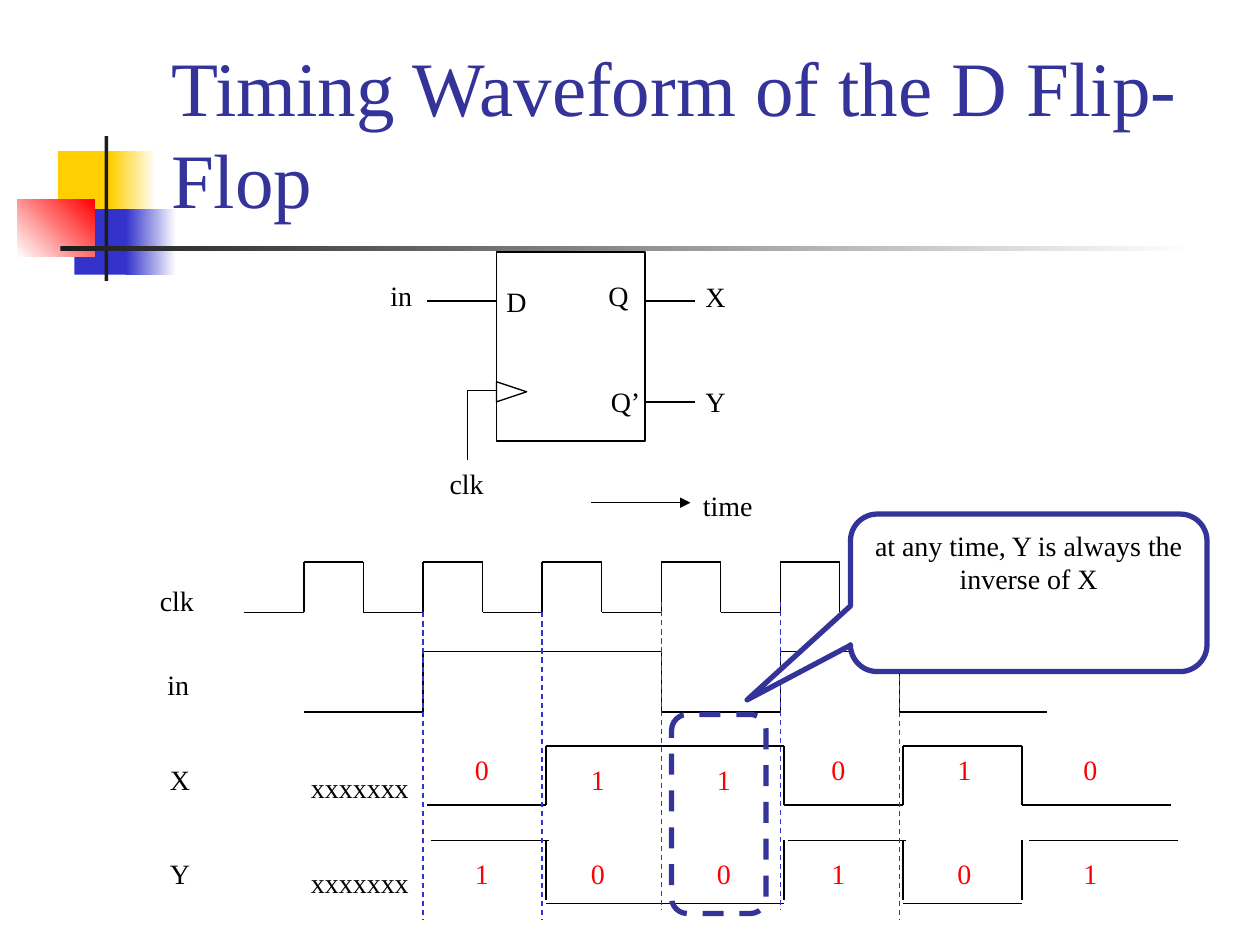
from itertools import pairwise
from typing import NamedTuple

from lxml import etree
from pptx import Presentation
from pptx.dml.color import RGBColor
from pptx.enum.dml import MSO_LINE_DASH_STYLE
from pptx.enum.shapes import MSO_CONNECTOR, MSO_SHAPE
from pptx.enum.text import MSO_ANCHOR, PP_ALIGN
from pptx.oxml.ns import qn
from pptx.util import Inches, Pt

RECT = MSO_SHAPE.RECTANGLE
ROUND_RECT = MSO_SHAPE.ROUNDED_RECTANGLE
TRIANGLE = MSO_SHAPE.ISOSCELES_TRIANGLE
CALLOUT = MSO_SHAPE.ROUNDED_RECTANGULAR_CALLOUT
STRAIGHT = MSO_CONNECTOR.STRAIGHT
DASH = MSO_LINE_DASH_STYLE.DASH
BOTTOM, TOP = MSO_ANCHOR.BOTTOM, MSO_ANCHOR.TOP
CENTER = PP_ALIGN.CENTER

FONT = "Times New Roman"
BLACK, WHITE, RED = "000000", "FFFFFF", "FF0000"
NAVY, BLUE, YELLOW, DARK = "333399", "3333CC", "FFCF01", "1C1C1C"


class Box(NamedTuple):
    x: float
    y: float
    w: float
    h: float


class Block(NamedTuple):
    box: Box
    start: str
    end: str = ""
    angle: int = 0


class Label(NamedTuple):
    text: str
    x: float
    y: float
    w: float
    color: str = BLACK


Point = tuple[float, float]

BLOCKS = [
    Block(Box(0.46, 1.2, 0.48, 0.52), YELLOW),
    Block(Box(0.88, 1.2, 0.36, 0.52), YELLOW, WHITE),
    Block(Box(0.59, 1.66, 0.46, 0.52), BLUE),
    Block(Box(1, 1.66, 0.4, 0.52), BLUE, WHITE),
    Block(Box(0.14, 1.58, 0.61, 0.46), WHITE, RED, 45),
    Block(Box(0.83, 1.08, 0.03, 1.15), DARK),
    Block(Box(0.48, 1.95, 9, 0.04), DARK, WHITE),
]

LABELS = [
    Label("D", 3.92, 2.21, 0.36),
    Label("Q", 4.73, 2.16, 0.36),
    Label("Q’", 4.75, 3, 0.43),
    Label("in", 3, 2.16, 0.37),
    Label("X", 5.5, 2.17, 0.36),
    Label("Y", 5.5, 3, 0.36),
    Label("clk", 3.47, 3.65, 0.47),
    Label("time", 5.48, 3.83, 0.59),
    Label("clk", 1.17, 4.58, 0.47),
    Label("in", 1.23, 5.25, 0.37),
    Label("X", 1.25, 6, 0.36),
    Label("Y", 1.25, 6.75, 0.36),
    Label("xxxxxxx", 2.37, 6.07, 0.97),
    Label("xxxxxxx", 2.37, 6.82, 0.97),
]

BITS = [(3.67, 5.92, 0), (4.59, 6, 1), (5.59, 6, 1),
        (6.5, 5.92, 0), (7.5, 5.92, 1), (8.5, 5.92, 0)]

WIRES = [
    [(5.12, 2.39), (5.52, 2.39)],
    [(3.94, 2.39), (3.39, 2.39)],
    [(3.94, 3.1), (3.71, 3.1), (3.71, 3.65)],
    [(5.12, 3.19), (5.52, 3.19)],
]


def rgb(color: str) -> RGBColor:
    return RGBColor.from_string(color)


def edge(n: int) -> float:
    return 1.94 + n * (7.61 - 1.94) / 12


def wave(xs: list[float], low: float, high: float) -> list[Point]:
    points = []
    for i, (x1, x2) in enumerate(pairwise(xs)):
        y = high if i % 2 else low
        points += [(x1, y), (x2, y)]
    return points


def add_line(s, start: Point, end: Point, color: str = BLACK):
    c = s.shapes.add_connector(STRAIGHT, *map(Inches, start + end))
    c.line.color.rgb = rgb(color)
    c.line.width = Pt(0.75)
    etree.SubElement(c._element.spPr, qn("a:effectLst"))
    return c


def add_trace(s, points: list[Point]) -> None:
    for start, end in pairwise(points):
        add_line(s, start, end)


def add_shape(s, kind, box: Box, fill: str = "", line: str = "", width: float = 0.75):
    sp = s.shapes.add_shape(kind, *map(Inches, box))
    sp.shadow.inherit = False
    if fill:
        sp.fill.solid()
        sp.fill.fore_color.rgb = rgb(fill)
    else:
        sp.fill.background()
    if line:
        sp.line.color.rgb = rgb(line)
        sp.line.width = Pt(width)
    else:
        sp.line.fill.background()
    return sp


def add_block(s, block: Block) -> None:
    sp = add_shape(s, RECT, block.box, block.start)
    if block.end:
        sp.fill.gradient()
        sp.fill.gradient_angle = block.angle
        for stop, color in zip(sp.fill.gradient_stops, (block.start, block.end)):
            stop.color.rgb = rgb(color)


def add_run(p, text: str, size: int, color: str) -> None:
    r = p.add_run()
    r.text = text
    r.font.name = FONT
    r.font.size = Pt(size)
    r.font.color.rgb = rgb(color)


def add_label(s, label: Label) -> None:
    tf = s.shapes.add_textbox(*map(Inches, (label.x, label.y, label.w, 0.37))).text_frame
    tf.word_wrap = True
    tf.margin_right = Inches(0)
    add_run(tf.paragraphs[0], label.text, 16, label.color)


def main() -> None:
    prs = Presentation()
    prs.slide_width, prs.slide_height = Inches(10), Inches(7.5)
    s = prs.slides.add_slide(prs.slide_layouts[6])

    for block in BLOCKS:
        add_block(s, block)
    tf = s.shapes.add_textbox(*map(Inches, (1.26, 0.23, 8.52, 1.6))).text_frame
    tf.word_wrap = True
    tf.vertical_anchor = BOTTOM
    add_run(tf.paragraphs[0], "Timing Waveform of the D Flip-Flop", 44, NAVY)

    add_shape(s, RECT, Box(3.94, 2, 1.18, 1.5), line=BLACK)
    add_shape(s, TRIANGLE, Box(3.98, 2.99, 0.16, 0.24), line=BLACK).rotation = 90
    for wire in WIRES:
        add_trace(s, wire)
    arrow = add_line(s, (4.69, 3.99), (5.48, 3.99))
    etree.SubElement(arrow.line._get_or_add_ln(), qn("a:tailEnd"), type="triangle")

    add_trace(s, wave([edge(n) for n in range(13)] + [8.31], 4.86, 4.46))
    add_trace(s, wave([edge(n) for n in (1, 3, 7, 9, 11)] + [8.31], 5.65, 5.17))
    x_edges = [edge(n) + 0.03 for n in (3, 5, 9, 11, 13)]
    add_trace(s, wave(x_edges + [9.29], 6.39, 5.92))
    for x in x_edges[1:]:
        add_line(s, (x, 6.67), (x, 7.14))
    for x1, x2 in ((3.42, 4.36), (6.25, 7.19), (8.17, 9.35)):
        add_line(s, (x1, 6.67), (x2, 6.67))
    for x1, x2 in (x_edges[1:3], x_edges[3:]):
        add_line(s, (x1, 7.17), (x2, 7.17))
    for n in range(3, 12, 2):
        top = 4.78 if n in (7, 9) else 4.86
        add_line(s, (edge(n), top), (edge(n), top + 2.44), BLUE).line.dash_style = DASH

    for label in LABELS:
        add_label(s, label)
    for x, y, bit in BITS:
        add_label(s, Label(str(bit), x, y, 0.31, RED))
        add_label(s, Label(str(1 - bit), x, 6.75, 0.31, RED))

    marker = add_shape(s, ROUND_RECT, Box(5.33, 5.67, 0.75, 1.58), line=NAVY, width=3)
    marker.line.dash_style = DASH
    callout = add_shape(s, CALLOUT, Box(6.75, 4.08, 2.83, 1.25), WHITE, NAVY, 3)
    for i, value in enumerate((-0.79, 0.68, 0.17)):
        callout.adjustments[i] = value
    tf = callout.text_frame
    tf.word_wrap = True
    tf.vertical_anchor = TOP
    p = tf.paragraphs[0]
    p.alignment = CENTER
    add_run(p, "at any time, Y is always the inverse of X", 16, BLACK)

    prs.save("out.pptx")


if __name__ == "__main__":
    main()
